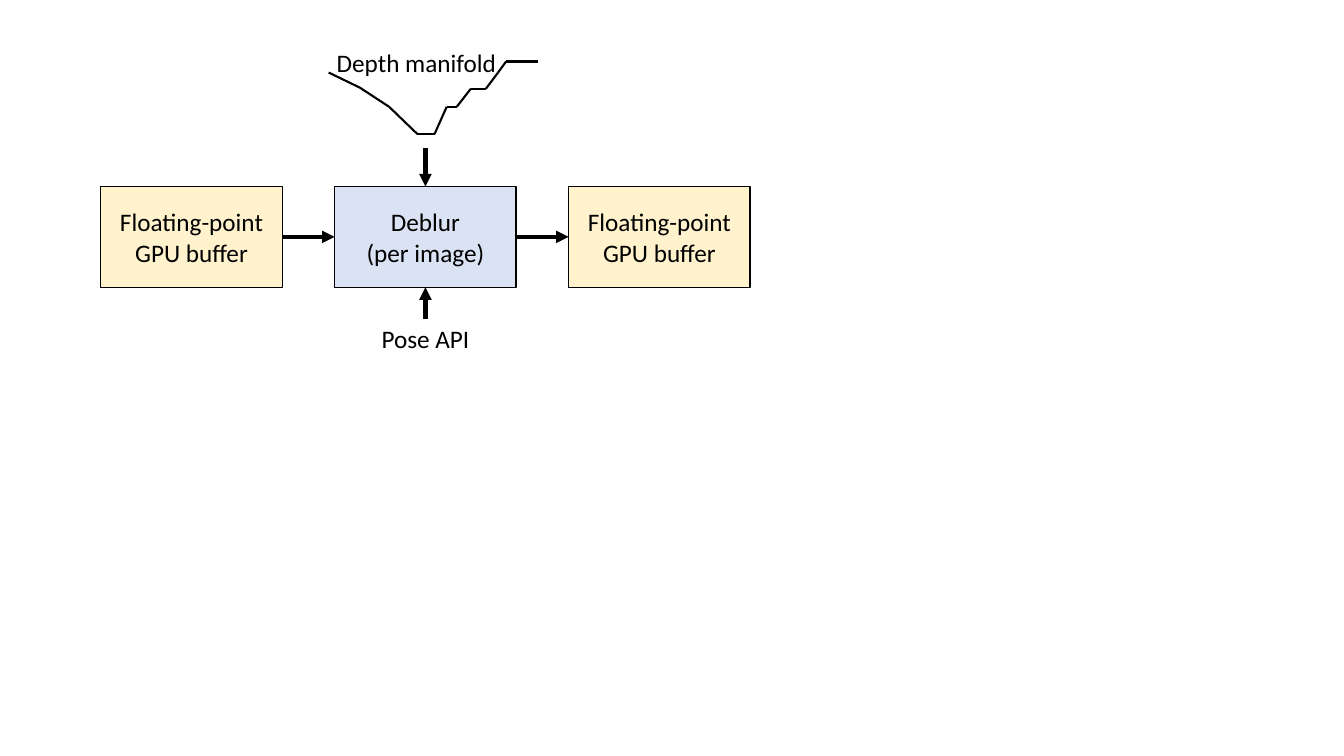
from dataclasses import dataclass
from itertools import pairwise

from pptx import Presentation
from pptx.dml.color import RGBColor
from pptx.enum.shapes import MSO_CONNECTOR, MSO_SHAPE
from pptx.enum.text import MSO_ANCHOR, PP_ALIGN
from pptx.oxml.ns import qn
from pptx.shapes.connector import Connector
from pptx.text.text import TextFrame
from pptx.util import Inches, Pt
from lxml.etree import SubElement

BLACK = RGBColor(0x00, 0x00, 0x00)
BUFFER_YELLOW = RGBColor(0xFF, 0xF2, 0xCC)
STAGE_BLUE = RGBColor(0xDA, 0xE3, 0xF3)

# Grid in inches: one row of three equal columns
FIRST_LEFT, COLUMN_PITCH = 1, 2.32
BOX_TOP, BOX_WIDTH, BOX_HEIGHT = 1.85, 1.8, 1
LABEL_HEIGHT = 0.4
BOX_MIDDLE = BOX_TOP + BOX_HEIGHT / 2
BOX_BOTTOM = BOX_TOP + BOX_HEIGHT

Point = tuple[float, float]


@dataclass(frozen=True)
class Stage:
    column: int
    lines: tuple[str, ...]
    fill: RGBColor


@dataclass(frozen=True)
class Label:
    left: float
    top: float
    text: str


def column_left(column: int) -> float:
    return FIRST_LEFT + column * COLUMN_PITCH


DEBLUR_LEFT = column_left(1)
DEBLUR_CENTRE = DEBLUR_LEFT + BOX_WIDTH / 2

STAGES = (
    Stage(0, ("Floating-point GPU buffer",), BUFFER_YELLOW),
    Stage(1, ("Deblur", "(per image)"), STAGE_BLUE),
    Stage(2, ("Floating-point GPU buffer",), BUFFER_YELLOW),
)
LABELS = (
    Label(3.23, 0.42, "Depth manifold"),
    Label(DEBLUR_LEFT, 3.16, "Pose API"),
)
ARROWS: tuple[tuple[Point, Point], ...] = (
    *(((column_left(column) + BOX_WIDTH, BOX_MIDDLE),
       (column_left(column + 1), BOX_MIDDLE)) for column in (0, 1)),
    ((DEBLUR_CENTRE, 1.47), (DEBLUR_CENTRE, BOX_TOP)),
    ((DEBLUR_CENTRE, 3.16), (DEBLUR_CENTRE, BOX_BOTTOM)),
)
DEPTH_PROFILE: tuple[Point, ...] = (
    (3.26, 0.72), (3.57, 0.87), (3.86, 1.06), (4.14, 1.33),
    (4.31, 1.33), (4.43, 1.06), (4.53, 1.06), (4.67, 0.88),
    (4.82, 0.88), (4.94, 0.72), (5.02, 0.61), (5.34, 0.61),
)


def write_text(frame: TextFrame, lines: tuple[str, ...]) -> None:
    frame.word_wrap = True
    frame.text = "\n".join(lines)
    for para in frame.paragraphs:
        para.alignment = PP_ALIGN.CENTER
        para.font.name = "Calibri"
        para.font.size = Pt(18)
        para.font.color.rgb = BLACK


def add_stage(shapes, stage: Stage) -> None:
    box = shapes.add_shape(
        MSO_SHAPE.RECTANGLE, Inches(column_left(stage.column)),
        Inches(BOX_TOP), Inches(BOX_WIDTH), Inches(BOX_HEIGHT))
    box.shadow.inherit = False
    box.fill.solid()
    box.fill.fore_color.rgb = stage.fill
    box.line.color.rgb = BLACK
    box.line.width = Pt(1)
    box.text_frame.vertical_anchor = MSO_ANCHOR.MIDDLE
    write_text(box.text_frame, stage.lines)


def add_label(shapes, label: Label) -> None:
    box = shapes.add_textbox(Inches(label.left), Inches(label.top),
                             Inches(BOX_WIDTH), Inches(LABEL_HEIGHT))
    write_text(box.text_frame, (label.text,))


def add_line(shapes, start: Point, end: Point, width: float) -> Connector:
    line = shapes.add_connector(
        MSO_CONNECTOR.STRAIGHT, *(Inches(value) for value in start + end))
    line.line.color.rgb = BLACK
    line.line.width = Pt(width)
    SubElement(line._element.spPr, qn("a:effectLst"))
    return line


def add_arrow(shapes, start: Point, end: Point) -> None:
    arrow = add_line(shapes, start, end, 3)
    SubElement(arrow.line._get_or_add_ln(), qn("a:tailEnd"), type="triangle")


def main() -> None:
    deck = Presentation()
    deck.slide_width, deck.slide_height = Inches(13.33), Inches(7.5)
    page = deck.slides.add_slide(deck.slide_layouts[6])

    # Processing row and its inputs
    for stage in STAGES:
        add_stage(page.shapes, stage)
    for start, end in ARROWS:
        add_arrow(page.shapes, start, end)

    # Depth manifold profile
    profile = page.shapes.add_group_shape()
    for start, end in pairwise(DEPTH_PROFILE):
        add_line(profile.shapes, start, end, 1.5)

    # Input labels
    for label in LABELS:
        add_label(page.shapes, label)

    deck.save("out.pptx")


if __name__ == "__main__":
    main()
